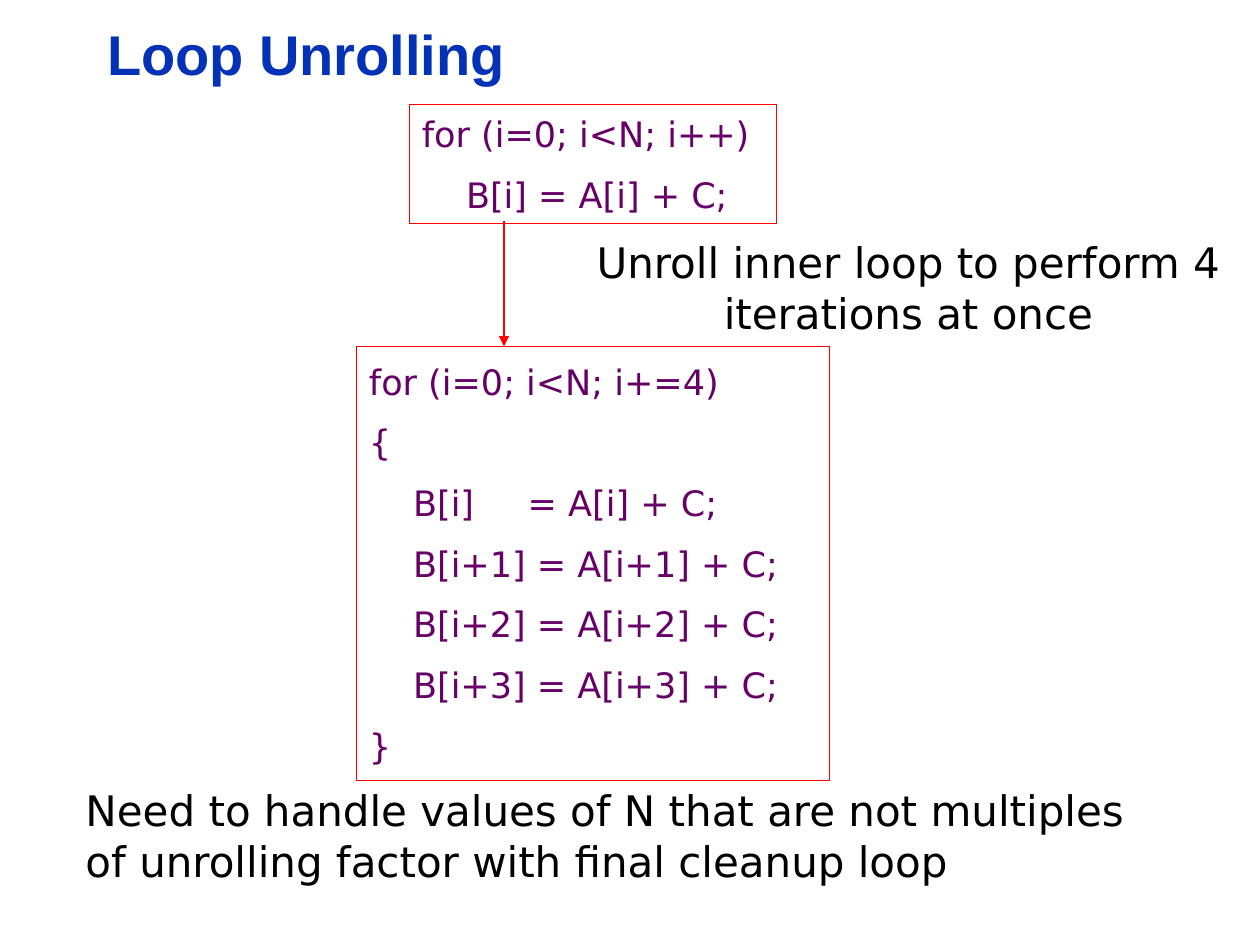
import pptx
import pptx.util
import pptx.dml.color
import pptx.enum.shapes
import pptx.enum.text
import pptx.oxml
import pptx.oxml.ns

Inches = pptx.util.Inches
Pt = pptx.util.Pt
ALIGN = pptx.enum.text.PP_ALIGN
ANCHOR = pptx.enum.text.MSO_ANCHOR


def color(value):
    return pptx.dml.color.RGBColor.from_string(value)


def add_xml(parent, tag, **attrs):
    child = pptx.oxml.parse_xml(f"<a:{tag} {pptx.oxml.ns.nsdecls('a')}/>")
    for name, value in attrs.items():
        child.set(name, str(value))
    parent.append(child)
    return child


class Deck:
    title_font, body_font = "Arial", "DejaVu Sans"
    blue, purple, red, black = "0332B7", "660066", "FF0000", "000000"
    code_tabs = (0.35, 1.26)

    def __init__(self, prs):
        self.s = prs.slides.add_slide(prs.slide_layouts[5])

    def run(self, p, text, size, font, fill, bold=False):
        r = p.add_run()
        r.text = text
        r.font.size = Pt(size)
        r.font.name = font
        r.font.bold = bold
        r.font.color.rgb = color(fill)

    def title(self, text, left, top, width, height):
        sp = self.s.shapes.title
        sp.left, sp.top, sp.width, sp.height = map(Inches, (left, top, width, height))
        tf = sp.text_frame
        tf.vertical_anchor = ANCHOR.MIDDLE
        p = tf.paragraphs[0]
        p.alignment = ALIGN.LEFT
        p.line_spacing = 0.9
        self.run(p, text, 32, self.title_font, self.blue, True)

    def code(self, lines, left, top, width, height):
        sp = self.s.shapes.add_shape(
            pptx.enum.shapes.MSO_SHAPE.RECTANGLE,
            Inches(left), Inches(top), Inches(width), Inches(height))
        sp.shadow.inherit = False
        sp.fill.background()
        sp.line.color.rgb = color(self.red)
        sp.line.width = Pt(0.25)
        tf = sp.text_frame
        tf.word_wrap = True
        tf.vertical_anchor = ANCHOR.MIDDLE
        for i, line in enumerate(lines):
            p = tf.add_paragraph() if i else tf.paragraphs[0]
            p.alignment = ALIGN.LEFT
            p.space_before = Pt(10.7)
            if "\t" in line:
                tabs = add_xml(p._p.get_or_add_pPr(), "tabLst")
                for stop in self.code_tabs:
                    add_xml(tabs, "tab", pos=Inches(stop), algn="l")
            self.run(p, line, 20, self.body_font, self.purple)

    def note(self, text, left, top, width, height, align=ALIGN.LEFT):
        sp = self.s.shapes.add_textbox(
            Inches(left), Inches(top), Inches(width), Inches(height))
        tf = sp.text_frame
        tf.word_wrap = True
        p = tf.paragraphs[0]
        p.alignment = align
        self.run(p, text, 24, self.body_font, self.black)

    def arrow(self, x1, y1, x2, y2):
        c = self.s.shapes.add_connector(
            pptx.enum.shapes.MSO_CONNECTOR.STRAIGHT,
            Inches(x1), Inches(y1), Inches(x2), Inches(y2))
        c.line.color.rgb = color(self.red)
        c.line.width = Pt(1.5)
        add_xml(c.line._get_or_add_ln(), "tailEnd", type="triangle")
        add_xml(c._element.spPr, "effectLst")


prs = pptx.Presentation()
prs.slide_width, prs.slide_height = Inches(10), Inches(7.5)
deck = Deck(prs)
deck.title("Loop Unrolling", 0.75, -0.17, 7.83, 1.25)
deck.code(["for (i=0; i<N; i++)", "\tB[i] = A[i] + C;"], 3.25, 0.83, 2.91, 0.94)
unrolled = [f"\tB[i+{k}] = A[i+{k}] + C;" for k in range(1, 4)]
deck.code(["for (i=0; i<N; i+=4)", "{", "\tB[i]\t= A[i] + C;", *unrolled, "}"],
          2.83, 2.75, 3.75, 3.44)
deck.arrow(4, 1.75, 4, 2.75)
deck.note("Unroll inner loop to perform 4 iterations at once",
          4.42, 1.83, 5.58, 0.9, ALIGN.CENTER)
deck.note("Need to handle values of N that are not multiples of unrolling factor "
          "with final cleanup loop", 0.58, 6.18, 8.75, 0.9)
prs.save("out.pptx")
